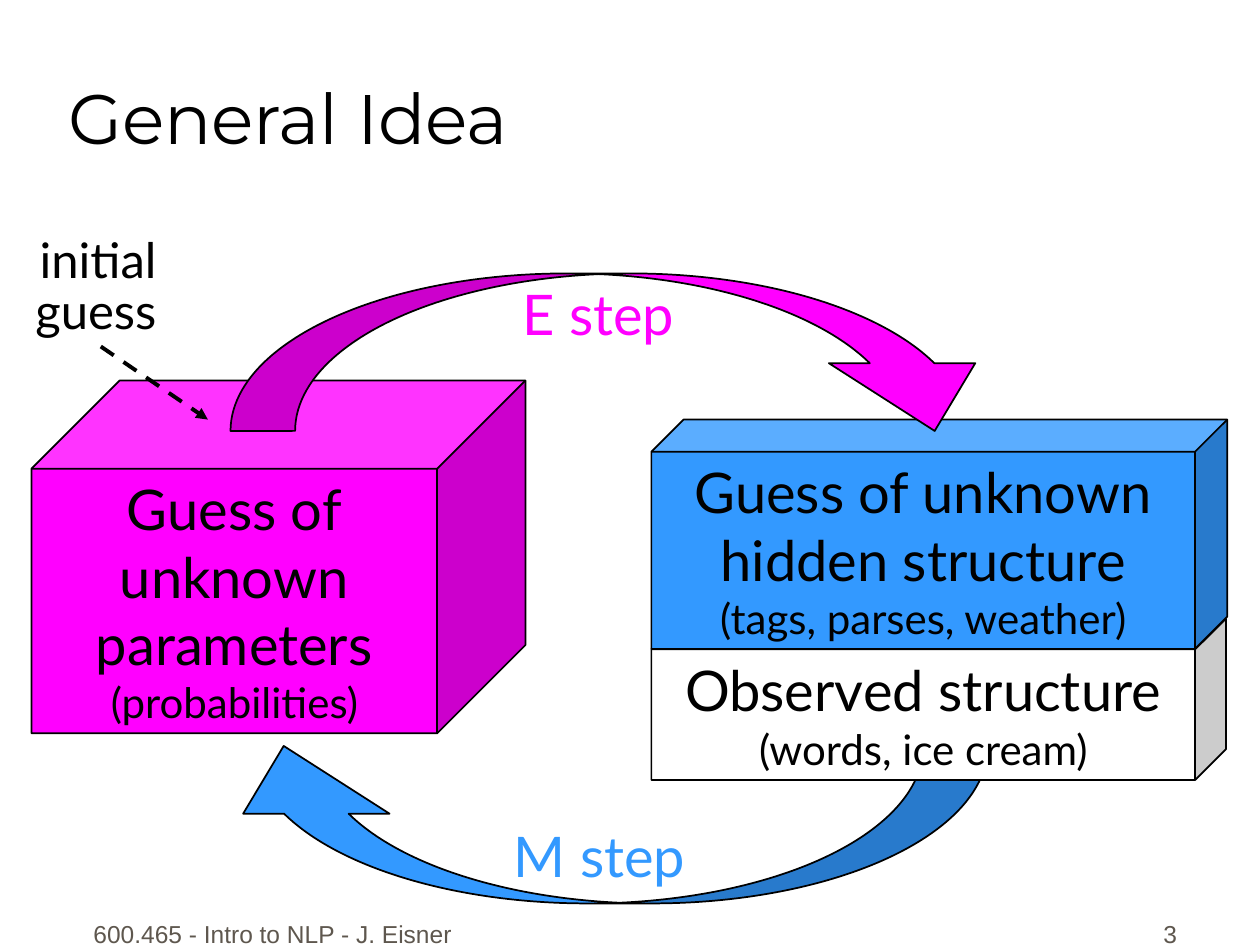
from dataclasses import dataclass

from lxml import etree
from pptx import Presentation
from pptx.dml.color import RGBColor
from pptx.enum import dml, shapes, text
from pptx.oxml import ns
from pptx.util import Inches, Pt


@dataclass(frozen=True)
class Theme:
    """Colours, fonts and type sizes of the slide."""
    ink: str = "000000"
    muted: str = "5E574E"
    params: str = "FF00FF"
    hidden: str = "3399FF"
    observed: str = "FFFFFF"
    body_font: str = "Lato"
    title_font: str = "Montserrat"
    footer_font: str = "Arial"
    title: int = 40
    main: int = 32
    note: int = 28
    detail: int = 24
    footer: int = 14


T = Theme()
LEFT, CENTER, RIGHT = text.PP_ALIGN.LEFT, text.PP_ALIGN.CENTER, text.PP_ALIGN.RIGHT
TOP, MIDDLE, BOTTOM = (text.MSO_ANCHOR.TOP, text.MSO_ANCHOR.MIDDLE,
                       text.MSO_ANCHOR.BOTTOM)


def inches(*values):
    """Convert a row of numbers to lengths."""
    return [Inches(v) for v in values]


def write(tf, paragraphs, color=T.ink, font=T.body_font, align=CENTER,
          anchor=TOP, wrap=True, spacing=None):
    """Write paragraphs, each a list of (text, size) lines split by breaks."""
    tf.word_wrap = wrap
    tf.vertical_anchor = anchor
    for i, lines in enumerate(paragraphs):
        p = tf.add_paragraph() if i else tf.paragraphs[0]
        p.alignment = align
        if spacing:
            p.line_spacing = spacing
        p.font.name = font
        p.font.color.rgb = RGBColor.from_string(color)
        p.font.size = Pt(lines[0][1])
        for j, (words, size) in enumerate(lines):
            if j:
                p.add_line_break()
            r = p.add_run()
            r.text = words
            if size != lines[0][1]:
                r.font.size = Pt(size)


def add_label(s, box, paragraphs, **style):
    """Add a text box filling the given box."""
    write(s.shapes.add_textbox(*inches(*box)).text_frame, paragraphs, **style)


def add_solid(s, kind, box, color, adjustments):
    """Add an outlined preset shape with its adjustments."""
    sp = s.shapes.add_shape(kind, *inches(*box))
    sp.shadow.inherit = False
    sp.fill.solid()
    sp.fill.fore_color.rgb = RGBColor.from_string(color)
    sp.line.color.rgb = RGBColor.from_string(T.ink)
    sp.line.width = Pt(1)
    for i, value in enumerate(adjustments):
        sp.adjustments[i] = value
    return sp


def add_cube(s, box, color, depth, paragraphs):
    """Add a cube with text on its front face."""
    sp = add_solid(s, shapes.MSO_SHAPE.CUBE, box, color, [depth])
    write(sp.text_frame, paragraphs, anchor=MIDDLE)


def add_step(s, box, color, name, label_box, rotation=0):
    """Add a curved step arrow and its label, placed within the arrow's box."""
    sp = add_solid(s, shapes.MSO_SHAPE.CURVED_DOWN_ARROW, box, color,
                   [0.41, 0.93, 0.43])
    sp.rotation = rotation
    dx, dy, width, height = label_box
    add_label(s, (box[0] + dx, box[1] + dy, width, height),
              [[(name, T.main)]], color=color, wrap=False)


def add_initial_guess(s, box):
    """Add the starting note and the dashed arrow leaving below it."""
    x, y, width, height = box
    add_label(s, box, [[("initial", T.note), ("guess", T.note)]],
              align=RIGHT, wrap=False, spacing=0.88)
    start_x, start_y = x + 0.73, y + height
    cx = s.shapes.add_connector(
        shapes.MSO_CONNECTOR.STRAIGHT,
        *inches(start_x, start_y, start_x + 0.85, start_y + 0.58))
    cx.line.color.rgb = RGBColor.from_string(T.ink)
    cx.line.width = Pt(2.25)
    cx.line.dash_style = dml.MSO_LINE.DASH
    etree.SubElement(cx.line._get_or_add_ln(), ns.qn("a:tailEnd"), type="triangle")
    etree.SubElement(cx._element.spPr, ns.qn("a:effectLst"))


def add_title(s, box, words):
    """Move and format the title placeholder."""
    sp = s.shapes.title
    sp.left, sp.top, sp.width, sp.height = inches(*box)
    write(sp.text_frame, [[(words, T.title)]], font=T.title_font,
          align=LEFT, anchor=BOTTOM)


def add_footer(s, box, course, number):
    """Add the course name at the left and the slide number at the right."""
    x, y, width, height = box
    style = dict(color=T.muted, font=T.footer_font, anchor=BOTTOM)
    add_label(s, (x, y, 3.17, height), [[(course, T.footer)]], **style)
    add_label(s, (x + width - 2.08, y, 2.08, height), [[(number, T.footer)]],
              align=RIGHT, **style)


def build_slide(prs):
    """Compose the cycle between parameters and hidden structure."""
    s = prs.slides.add_slide(prs.slide_layouts[5])
    add_title(s, (0.44, 0.06, 8.5, 1.25), "General Idea")
    add_footer(s, (0.58, 7.08, 8.86, 0.5),
               "600.465 - Intro to NLP - J. Eisner", "3")
    add_cube(s, (0.25, 3.02, 3.92, 2.8), T.params, 0.25,
             [[("Guess of", T.main)], [("unknown", T.main)],
              [("parameters", T.main)], [("(probabilities)", T.detail)]])
    add_initial_guess(s, (0.07, 1.83, 1.27, 0.92))
    add_step(s, (1.67, 5.92, 6.17, 1.25), T.hidden, "M step",
             (2.28, 0.55, 1.62, 0.64), rotation=180)
    add_cube(s, (5.17, 4.91, 4.56, 1.28), T.observed, 0.19,
             [[("Observed structure", T.main), ("(words, ice cream)", T.detail)]])
    add_cube(s, (5.17, 3.33, 4.57, 1.82), T.hidden, 0.14,
             [[("Guess of unknown", T.main)], [("hidden structure", T.main)],
              [("(tags, parses, weather)", T.detail)]])
    add_step(s, (1.83, 2.17, 6.17, 1.25), T.params, "E step",
             (2.19, 0, 1.46, 0.64))


def main():
    """Build and save the presentation."""
    prs = Presentation()
    prs.slide_width, prs.slide_height = inches(10, 7.5)
    build_slide(prs)
    prs.save("out.pptx")


if __name__ == "__main__":
    main()
